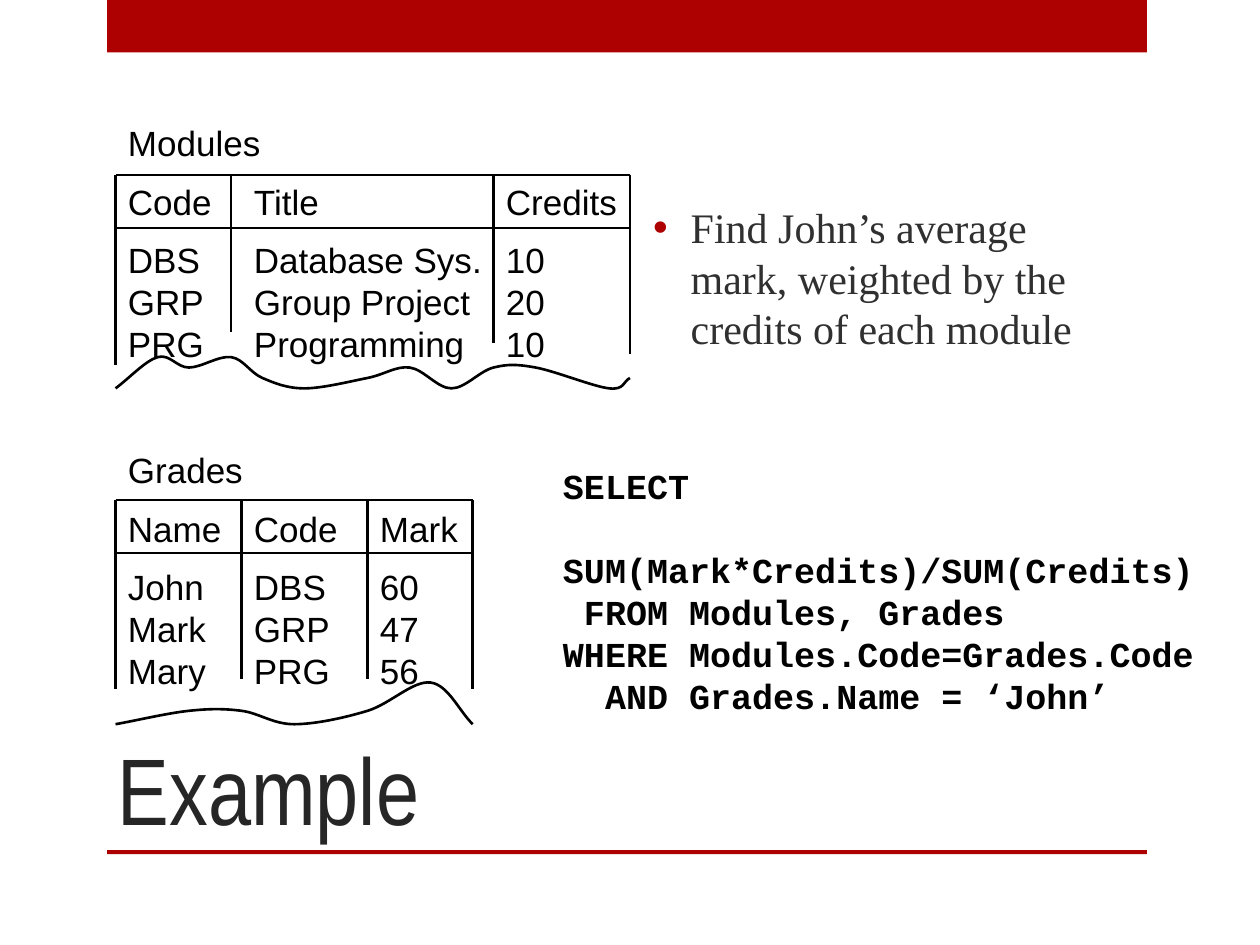
"""Build the slide with two sample tables and the SQL query for a weighted average."""
from lxml import etree
from pptx import Presentation
from pptx.dml.color import RGBColor
from pptx.enum.shapes import MSO_CONNECTOR, MSO_SHAPE
from pptx.enum.text import MSO_ANCHOR, MSO_AUTO_SIZE, PP_ALIGN
from pptx.oxml.ns import qn
from pptx.util import Cm, Pt

RECT = MSO_SHAPE.RECTANGLE
LINE = MSO_CONNECTOR.STRAIGHT
LEFT = PP_ALIGN.LEFT
TOP, MIDDLE, BOTTOM = MSO_ANCHOR.TOP, MSO_ANCHOR.MIDDLE, MSO_ANCHOR.BOTTOM
FIXED = MSO_AUTO_SIZE.NONE
COLORS = {"red": "AD0101", "title": "262626", "body": "303030",
          "ink": "000000", "paper": "FFFFFF"}
TAB = 2.54
GAP = 9.4

ROWS = [
    ("Modules", 0), ("Code\tTitle\t\tCredits", GAP), ("DBS\tDatabase Sys.\t10", GAP),
    ("GRP\tGroup Project\t20", 0), ("PRG\tProgramming\t10", 0),
    ("Grades", 48), ("Name\tCode\tMark", GAP), ("John\tDBS\t60", GAP),
    ("Mark\tGRP\t47", 0), ("Mary\tPRG\t56", 0),
]
QUERY = ["SELECT", "  SUM(Mark*Credits)/SUM(Credits)", " FROM Modules, Grades",
         "WHERE Modules.Code=Grades.Code", "  AND Grades.Name = ‘John’"]
GRIDS = [
    {"top": 3.53, "rule": 4.6,
     "cols": [(2.33, 7.35), (4.66, 6.7), (9.95, 6.91), (12.7, 7.14)],
     "edge": [(2.33, 7.83), (3.18, 7.2), (3.81, 7.41), (4.66, 7.2), (5.29, 7.62),
              (6.14, 7.83), (7.41, 7.62), (8.26, 7.41), (9.1, 7.83), (9.95, 7.41),
              (10.8, 7.41), (12.28, 7.83), (12.7, 7.62)]},
    {"top": 10.08, "rule": 11.15,
     "cols": [(2.33, 13.89), (4.87, 13.69), (7.41, 13.69), (9.53, 13.89)],
     "edge": [(2.33, 14.6), (3.81, 14.33), (4.87, 14.33), (5.93, 14.6),
              (7.41, 14.33), (8.68, 13.76), (9.53, 14.6)]},
]


def color(name):
    """Return the named colour."""
    return RGBColor.from_string(COLORS[name])


def mirror(end, near):
    """Return the point opposite near, as seen from end."""
    return tuple(2 * e - n for e, n in zip(end, near))


def shift(point, start, end):
    """Move a point by a sixth of the way from start to end."""
    return tuple(round(p + (e - s) / 6) for p, s, e in zip(point, start, end))


def bend(form):
    """Turn the straight segments of a freeform into one smooth curve."""
    knots = [(int(p.get("x")), int(p.get("y"))) for p in form.iter(qn("a:pt"))]
    full = [mirror(knots[0], knots[1]), *knots, mirror(knots[-1], knots[-2])]
    for seg, a, b, c, d in zip(list(form.iter(qn("a:lnTo"))),
                               full, full[1:], full[2:], full[3:]):
        arc = etree.Element(qn("a:cubicBezTo"))
        for x, y in (shift(b, a, c), shift(c, d, b), c):
            etree.SubElement(arc, qn("a:pt"), x=str(x), y=str(y))
        seg.getparent().replace(seg, arc)


class Deck:
    """Hold the style and the current slide."""

    def __init__(self):
        self.file = Presentation()
        self.file.slide_width, self.file.slide_height = Cm(25.4), Cm(19.05)
        self.slide = self.file.slides.add_slide(self.file.slide_layouts[1])
        self.shapes = self.slide.shapes

    def bar(self, top, height):
        """Add a red bar as wide as the content."""
        bar = self.shapes.add_shape(RECT, Cm(2.16), Cm(top), Cm(20.96), Cm(height))
        bar.shadow.inherit = False
        bar.fill.solid()
        bar.fill.fore_color.rgb = color("red")
        bar.line.fill.background()

    def place(self, shape, box, anchor):
        """Move a shape and set up its text frame."""
        shape.left, shape.top, shape.width, shape.height = map(Cm, box)
        frame = shape.text_frame
        frame.auto_size, frame.word_wrap = FIXED, True
        frame.vertical_anchor = anchor
        return frame

    def style(self, para, font, size, ink, bold=False):
        """Format the runs of a paragraph."""
        para.alignment = LEFT
        for run in para.runs:
            run.font.name, run.font.size, run.font.bold = font, Pt(size), bold
            run.font.color.rgb = color(ink)

    def title(self, text, box):
        """Fill the title placeholder."""
        frame = self.place(self.shapes.title, box, BOTTOM)
        frame.text = text
        self.style(frame.paragraphs[0], "Arial Narrow", 54, "title")

    def body(self, text, box):
        """Fill the body placeholder with one bullet."""
        frame = self.place(self.slide.placeholders[1], box, MIDDLE)
        frame.margin_bottom = Cm(1.1)
        frame.text = text
        para = frame.paragraphs[0]
        props = para._p.get_or_add_pPr()
        props.set("marL", str(Cm(0.76)))
        props.set("indent", str(Cm(-0.76)))
        tint = etree.SubElement(props, qn("a:buClr"))
        etree.SubElement(tint, qn("a:srgbClr"), val=COLORS["red"])
        etree.SubElement(props, qn("a:buChar"), char="•")
        para.space_before, para.line_spacing = Pt(0), Pt(28.8)
        self.style(para, "Times New Roman", 24, "body")

    def text(self, rows, box, font, bold=False):
        """Add a text box from pairs of text and space before."""
        frame = self.place(self.shapes.add_textbox(*map(Cm, box)), box, TOP)
        frame.text = "\n".join(row for row, _ in rows)
        for para, (row, gap) in zip(frame.paragraphs, rows):
            if "\t" in row:
                stops = etree.SubElement(para._p.get_or_add_pPr(), qn("a:tabLst"))
                for i in range(1, 4):
                    etree.SubElement(stops, qn("a:tab"), pos=str(Cm(i * TAB)), algn="l")
            para.space_before, para.line_spacing = Pt(gap), Pt(24)
            self.style(para, font, 20, "ink", bold)

    def pen(self, shape):
        """Give a shape the table outline."""
        shape.line.color.rgb = color("ink")
        shape.line.width = Pt(1.5)

    def line(self, *ends):
        """Add a straight line."""
        line = self.shapes.add_connector(LINE, *map(Cm, ends))
        self.pen(line)
        etree.SubElement(line._element.spPr, qn("a:effectLst"))

    def wave(self, knots):
        """Add the torn lower edge of a table."""
        points = [(Cm(x), Cm(y)) for x, y in knots]
        form = self.shapes.build_freeform(*points[0])
        form.add_line_segments(points[1:], close=False)
        wave = form.convert_to_shape()
        bend(wave._element)
        wave.shadow.inherit = False
        wave.fill.solid()
        wave.fill.fore_color.rgb = color("paper")
        self.pen(wave)

    def grid(self, top, rule, cols, edge):
        """Draw the rules and torn edge of a table."""
        for x, end in cols:
            self.line(x, top, x, end)
        for y in (top, rule):
            self.line(cols[0][0], y, cols[-1][0], y)
        self.wave(edge)


def main():
    """Build and save the slide."""
    deck = Deck()
    deck.bar(0, 1.06)
    deck.bar(17.14, 0.08)
    deck.title("Example", (2.12, 12.7, 18.84, 4.44))
    deck.body("Find John’s average mark, weighted by the credits of each module",
              (12.91, 2.13, 10.16, 7.9))
    deck.text(ROWS, (2.33, 2.33, 10.4, 11.8), "Arial")
    for grid in GRIDS:
        deck.grid(**grid)
    deck.text([(row, 0) for row in QUERY], (11.1, 9.23, 14, 4.5),
              "Courier New", bold=True)
    deck.file.save("out.pptx")


if __name__ == "__main__":
    main()
